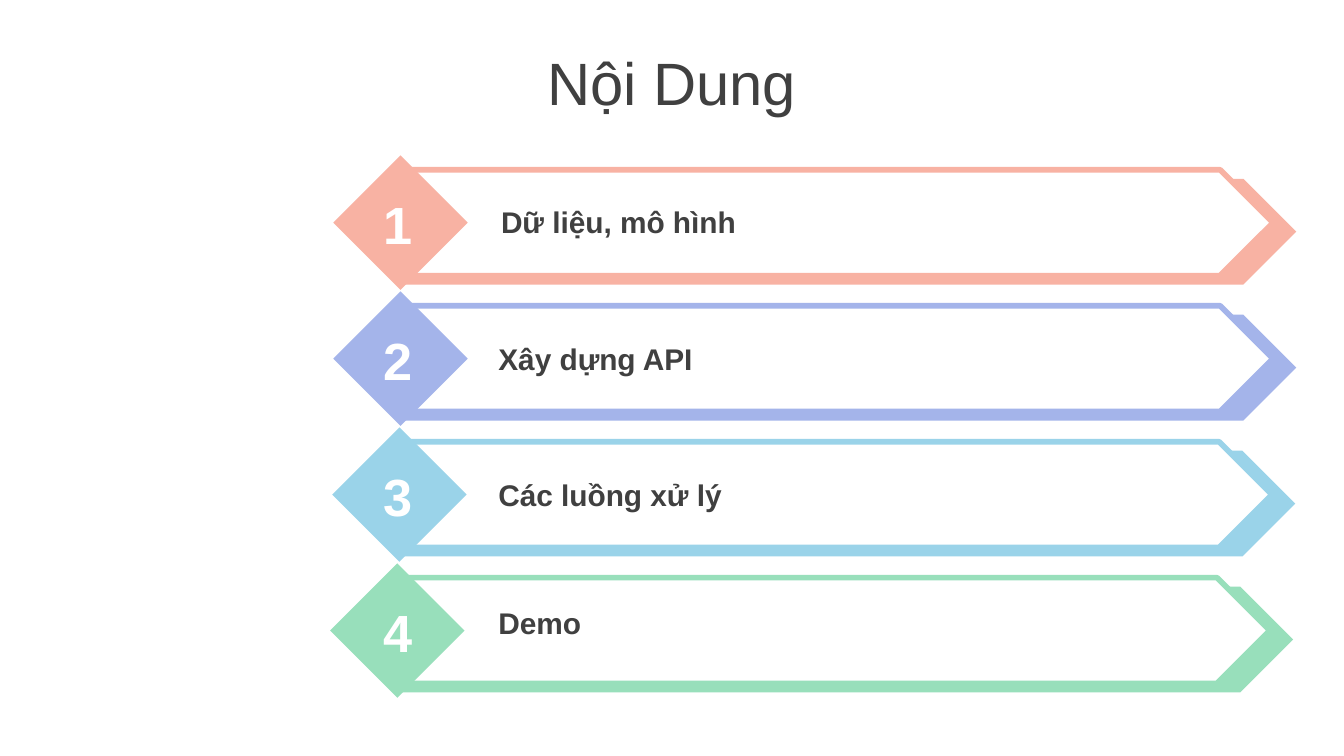
import pptx
import pptx.util
import pptx.dml.color
import pptx.enum.shapes
import pptx.enum.text

Cm = pptx.util.Cm
Pt = pptx.util.Pt
SHAPE = pptx.enum.shapes.MSO_SHAPE
ALIGN = pptx.enum.text.PP_ALIGN
ANCHOR = pptx.enum.text.MSO_ANCHOR

COLORS = {
    "text": "404040",
    "white": "FFFFFF",
    "coral": "F8B2A3",
    "violet": "A4B4EA",
    "sky": "9AD3E9",
    "mint": "98DFBB",
}


class AgendaSlide:
    """Holds the style and the current slide."""

    font = "Arial"

    def __init__(self, slide):
        self.slide = slide

    def color(self, name):
        return pptx.dml.color.RGBColor.from_string(COLORS[name])

    def shape(self, group, kind, left, top, width, height, fill, line=None):
        sp = group.shapes.add_shape(kind, Cm(left), Cm(top), Cm(width), Cm(height))
        sp.shadow.inherit = False
        sp.fill.solid()
        sp.fill.fore_color.rgb = self.color(fill)
        if line:
            sp.line.color.rgb = self.color(line)
            sp.line.width = Pt(3)
        else:
            sp.line.fill.background()

    def text(self, text, left, top, width, height, size, color="text",
             bold=False, align=ALIGN.LEFT, anchor=ANCHOR.TOP):
        sp = self.slide.shapes.add_textbox(Cm(left), Cm(top), Cm(width), Cm(height))
        tf = sp.text_frame
        tf.word_wrap = True
        tf.vertical_anchor = anchor
        p = tf.paragraphs[0]
        p.alignment = align
        r = p.add_run()
        r.text = text
        r.font.name = self.font
        r.font.size = Pt(size)
        r.font.bold = bold
        r.font.color.rgb = self.color(color)

    def banner(self, left, top, color):
        """Diamond badge in front of a white arrow with a coloured arrow behind."""
        group = self.slide.shapes.add_group_shape()
        plate = left + 1.33
        self.shape(group, SHAPE.PENTAGON, plate, top + 0.44, 16.87, 2, color)
        self.shape(group, SHAPE.PENTAGON, plate, top + 0.27, 16.43, 2, "white", color)
        self.shape(group, SHAPE.DIAMOND, left, top, 2.54, 2.54, color)


def main():
    prs = pptx.Presentation()
    prs.slide_width, prs.slide_height = Cm(25.4), Cm(14.29)
    s = AgendaSlide(prs.slides.add_slide(prs.slide_layouts[6]))

    # Title
    s.text("Nội Dung", 0, 0.74, 25.4, 1.6, 32,
           align=ALIGN.CENTER, anchor=ANCHOR.MIDDLE)

    # Agenda rows: label, colour, banner left, label left, label top
    rows = [
        ("Dữ liệu, mô hình", "coral", 6.3, 9.22, 3.73),
        ("Xây dựng API", "violet", 6.3, 9.17, 6.32),
        ("Các luồng xử lý", "sky", 6.28, 9.17, 8.89),
        ("Demo", "mint", 6.24, 9.17, 11.3),
    ]
    for i, (label, color, left, label_left, label_top) in enumerate(rows):
        top = 2.94 + i * 2.57
        s.banner(left, top, color)
        s.text(f"{i + 1} ", 6.96, top + 0.56, 1.12, 1.45, 28, "white",
               bold=True, align=ALIGN.CENTER, anchor=ANCHOR.MIDDLE)
        s.text(label, label_left, label_top, 13.2, 0.94, 16, bold=True)

    prs.save("out.pptx")


if __name__ == "__main__":
    main()
